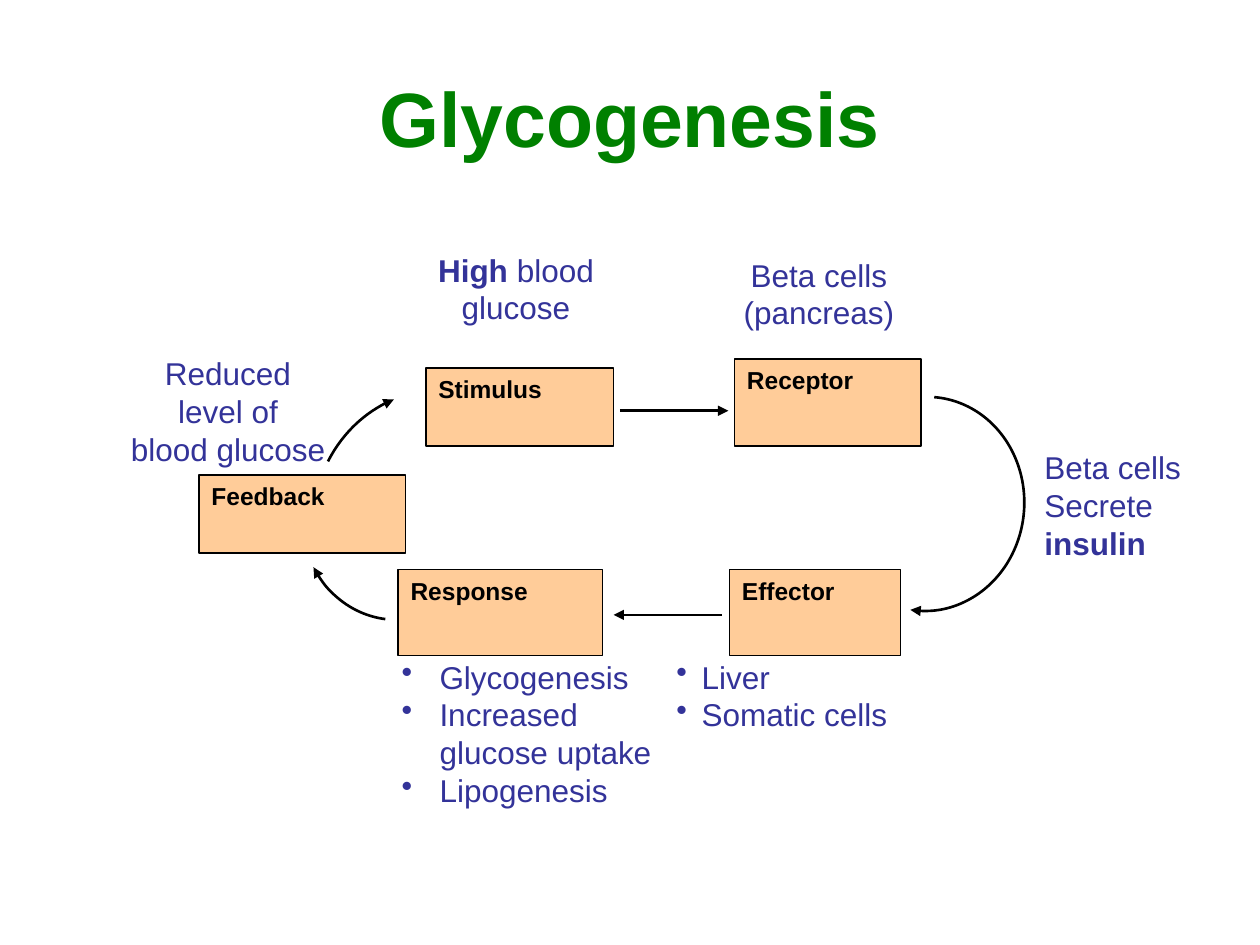
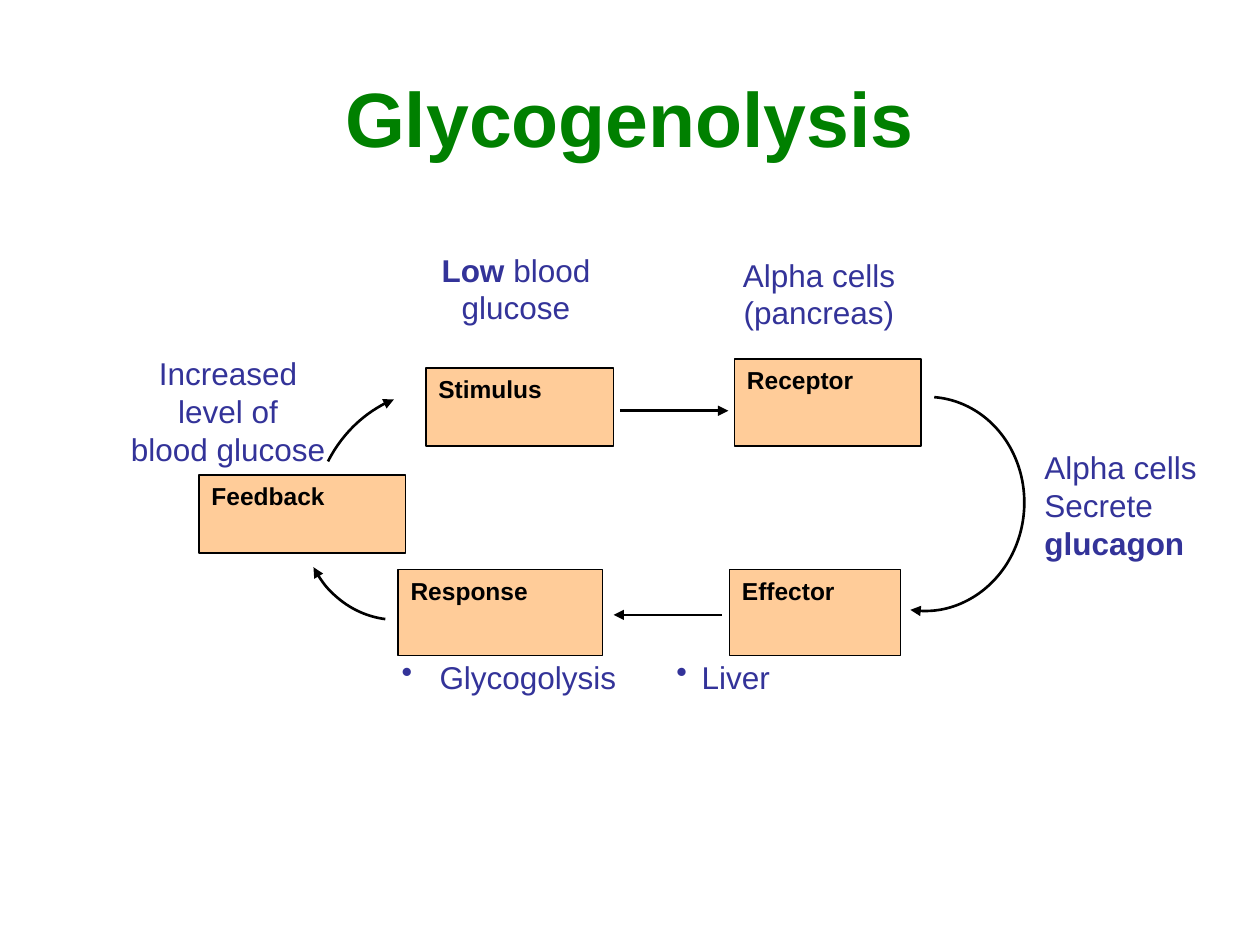
from lxml import etree
from pptx import Presentation
from pptx.dml.color import RGBColor
from pptx.enum.shapes import MSO_CONNECTOR, MSO_SHAPE
from pptx.enum.text import MSO_ANCHOR, PP_ALIGN
from pptx.oxml.ns import qn
from pptx.util import Inches, Pt

RECT, ARC = MSO_SHAPE.RECTANGLE, MSO_SHAPE.ARC
LINE = MSO_CONNECTOR.STRAIGHT
TOP, MIDDLE = MSO_ANCHOR.TOP, MSO_ANCHOR.MIDDLE
LEFT, CENTER = PP_ALIGN.LEFT, PP_ALIGN.CENTER

FONT = "Arial"
COLORS = {"title": "008000", "note": "333399", "stage": "FFCC99", "ink": "000000"}
TITLE_BOX = (0.5, 0.3, 9, 1.25)
CYCLE_BOX = (0.8, 1.9, 8.9, 5)

# Places below are relative to the cycle box: left, top, width, height.
STAGES = {
    "Stimulus": (2.58, 1.02, 1.49, 0.62),
    "Response": (2.36, 2.62, 1.62, 0.68),
    "Effector": (4.99, 2.62, 1.36, 0.68),
    "Receptor": (5.03, 0.95, 1.48, 0.69),
    "Feedback": (0.78, 1.87, 1.64, 0.62),
}
# Box, turn, start angle and end angle, in degrees.
CURVES = [
    ((5.77, 1.25, 1.56, 1.7), 4.4, -90, 94),
    ((1.59, 1.32, 1.55, 1.7), 187.2, -90, -39.7),
    ((1.59, 1.32, 1.79, 1.48), 304.1, -100.5, -45.5),
]
# Start x, end x and y.
ARROWS = [(4.93, 4.07, 2.98), (4.12, 4.98, 1.36)]
# Box, alignment and bullet indent.
NOTES = {
    "stimulus": ((2.49, 0.04, 1.61, 0.79), CENTER, 0),
    "receptor": ((4.89, 0.08, 1.62, 0.94), CENTER, 0),
    "hormone": ((7.39, 1.61, 1.45, 1.65), LEFT, 0),
    "effector": ((4.47, 3.27, 2.16, 1.4), LEFT, 0.2),
    "response": ((2.29, 3.27, 2.23, 1.65), LEFT, 0.3),
    "feedback": ((0.03, 0.86, 1.96, 1.15), CENTER, 0),
}
# Words between ** marks are bold.
SLIDES = [
    ("Glycogenesis", {
        "stimulus": ["**High** blood", "glucose"],
        "receptor": ["Beta cells", "(pancreas)"],
        "hormone": ["Beta cells", "Secrete", "**insulin**"],
        "effector": ["Liver", "Somatic cells"],
        "response": ["Glycogenesis", "Increased glucose uptake", "Lipogenesis"],
        "feedback": ["Reduced", "level of", "blood glucose"],
    }),
    ("Glycogenolysis", {
        "stimulus": ["**Low** blood", "glucose"],
        "receptor": ["Alpha cells", "(pancreas)"],
        "hormone": ["Alpha cells", "Secrete", "**glucagon**"],
        "effector": ["Liver"],
        "response": ["Glycogolysis"],
        "feedback": ["Increased", "level of", "blood glucose"],
    }),
]


def color(name):
    return RGBColor.from_string(COLORS[name])


def place(box, part):
    """Turn a part's place inside a box into slide lengths."""
    left, top, width, height = part
    return [Inches(v) for v in (box[0] + left, box[1] + top, width, height)]


def bullet(para, indent):
    props = para._p.get_or_add_pPr()
    props.set("marL", str(Inches(indent)))
    props.set("indent", str(-Inches(indent)))
    etree.SubElement(props, qn("a:buChar"), char="•")


def write(shape, lines, size, tone, align=LEFT, anchor=TOP, indent=0):
    frame = shape.text_frame
    frame.word_wrap = True
    frame.vertical_anchor = anchor
    for i, line in enumerate(lines):
        para = frame.add_paragraph() if i else frame.paragraphs[0]
        para.alignment = align
        if indent:
            bullet(para, indent)
        para.font.name = FONT
        para.font.size = Pt(size)
        para.font.color.rgb = color(tone)
        for j, words in enumerate(line.split("**")):
            if words:
                run = para.add_run()
                run.text = words
                run.font.bold = j % 2 == 1


def ink(shape, width):
    shape.line.color.rgb = color("ink")
    shape.line.width = Pt(width)


def point(shape):
    """Draw a thick line that ends in an arrowhead."""
    ink(shape, 1.5)
    line = shape._element.spPr.find(qn("a:ln"))
    etree.SubElement(line, qn("a:tailEnd"), type="triangle")


def add_title(slide, box, text):
    shape = slide.shapes.add_textbox(*[Inches(v) for v in box])
    write(shape, [f"**{text}**"], 44, "title", CENTER, MIDDLE)


def add_stage(slide, box, name, part):
    shape = slide.shapes.add_shape(RECT, *place(box, part))
    shape.shadow.inherit = False
    shape.fill.solid()
    shape.fill.fore_color.rgb = color("stage")
    ink(shape, 0.75)
    write(shape, [f"**{name}**"], 14, "ink")


def add_curve(slide, box, part, turn, start, end):
    shape = slide.shapes.add_shape(ARC, *place(box, part))
    shape.shadow.inherit = False
    shape.fill.background()
    shape.rotation = turn
    for i, angle in enumerate((start, end)):
        # Arc angles count 60000 to a degree, adjustments 100000 to a unit.
        shape.adjustments[i] = angle % 360 * 0.6
    point(shape)


def add_arrow(slide, box, start, end, y):
    level = Inches(box[1] + y)
    shape = slide.shapes.add_connector(
        LINE, Inches(box[0] + start), level, Inches(box[0] + end), level)
    point(shape)
    etree.SubElement(shape._element.spPr, qn("a:effectLst"))


def add_cycle(slide, box, notes):
    for name, part in STAGES.items():
        add_stage(slide, box, name, part)
    for curve in CURVES:
        add_curve(slide, box, *curve)
    for arrow in ARROWS:
        add_arrow(slide, box, *arrow)
    for name, (part, align, indent) in NOTES.items():
        shape = slide.shapes.add_textbox(*place(box, part))
        write(shape, notes[name], 18, "note", align, indent=indent)


def main():
    deck = Presentation()
    deck.slide_width, deck.slide_height = Inches(10), Inches(7.5)
    for title, notes in SLIDES:
        slide = deck.slides.add_slide(deck.slide_layouts[6])
        add_title(slide, TITLE_BOX, title)
        add_cycle(slide, CYCLE_BOX, notes)
    deck.save("out.pptx")


if __name__ == "__main__":
    main()
